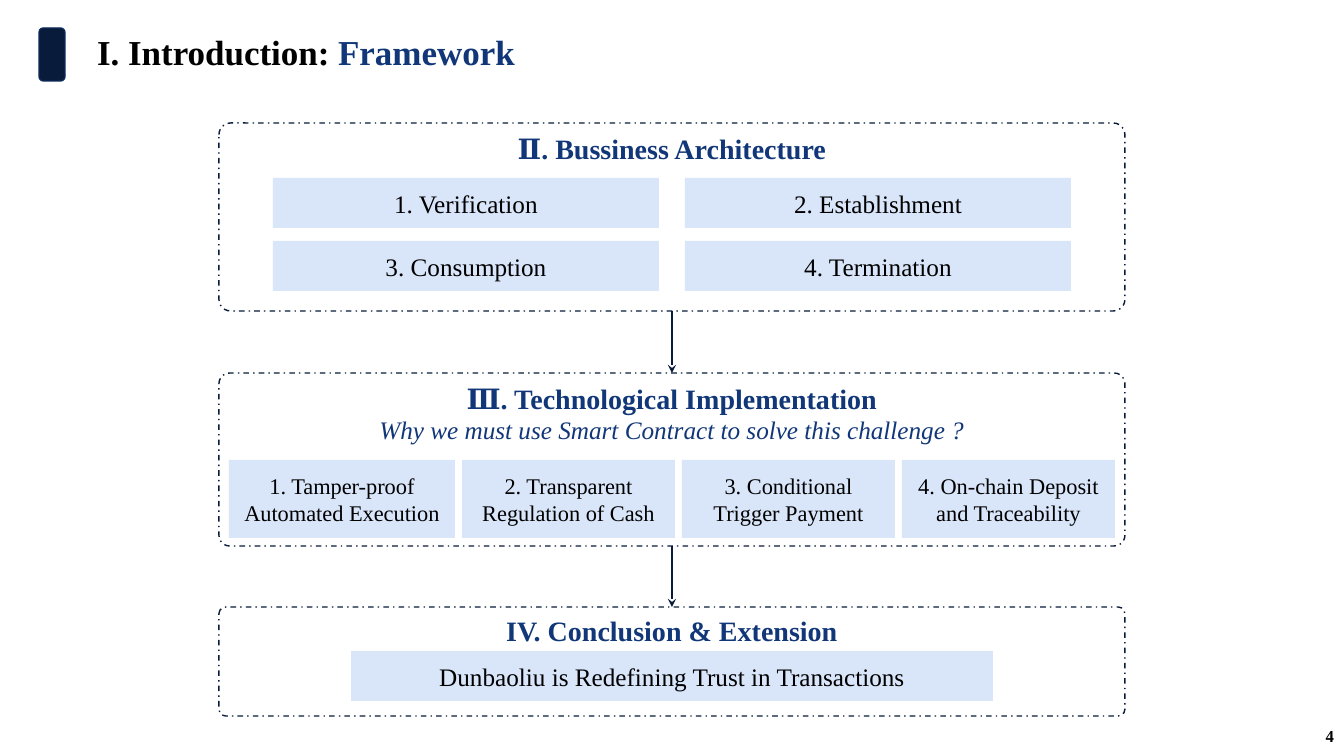
"""Build the framework slide: three linked panels of topics."""
from lxml import etree
from pptx import Presentation, util as u
from pptx.dml.color import RGBColor
from pptx.enum import dml, shapes, text
from pptx.oxml import ns

PX = 914400 / 100.8
FONT = "Times New Roman"
BLACK = RGBColor(0x00, 0x00, 0x00)
BLUE = RGBColor(0x11, 0x37, 0x78)
NAVY = RGBColor(0x09, 0x1B, 0x3A)
EDGE = RGBColor(0x0D, 0x29, 0x59)
PALE = RGBColor(0xD9, 0xE5, 0xF9)
PANEL_LEFT, PANEL_WIDTH = 219, 906
CENTER = PANEL_LEFT + PANEL_WIDTH // 2


def px(*lengths):
    """Turn pixel lengths into EMU."""
    return [u.Emu(round(length * PX)) for length in lengths]


def add_run(paragraph, words, size, color, bold=False, italic=False):
    """Append one formatted run."""
    run = paragraph.add_run()
    run.text = words
    font = run.font
    font.name, font.size = FONT, u.Pt(size)
    font.bold, font.italic = bold, italic
    font.color.rgb = color


def add_block(slide, kind, box, fill=None, line=None):
    """Add a flat preset shape."""
    shape = slide.shapes.add_shape(kind, *px(*box))
    shape.shadow.inherit = False
    if fill is None:
        shape.fill.background()
    else:
        shape.fill.solid()
        shape.fill.fore_color.rgb = fill
    if line is None:
        shape.line.fill.background()
    else:
        shape.line.color.rgb = line
        shape.line.width = u.Pt(1)
    return shape


def add_panel(slide, top, height, heading, question=None):
    """Add a dashed panel with its heading and optional question."""
    panel = add_block(slide, shapes.MSO_SHAPE.ROUNDED_RECTANGLE,
                      (PANEL_LEFT, top, PANEL_WIDTH, height), line=NAVY)
    panel.adjustments[0] = 0.062
    panel.line.dash_style = dml.MSO_LINE.DASH_DOT
    frame = panel.text_frame
    frame.vertical_anchor = text.MSO_ANCHOR.TOP
    paragraph = frame.paragraphs[0]
    paragraph.alignment = text.PP_ALIGN.CENTER
    add_run(paragraph, heading, 20, BLUE, bold=True)
    if question:
        paragraph = frame.add_paragraph()
        paragraph.alignment = text.PP_ALIGN.CENTER
        add_run(paragraph, question, 18, BLUE, italic=True)


def add_topic(slide, box, words, size=18):
    """Add a pale topic box."""
    topic = add_block(slide, shapes.MSO_SHAPE.RECTANGLE, box, fill=PALE)
    topic.text_frame.word_wrap = True
    topic.text_frame.vertical_anchor = text.MSO_ANCHOR.MIDDLE
    paragraph = topic.text_frame.paragraphs[0]
    paragraph.alignment = text.PP_ALIGN.CENTER
    add_run(paragraph, words, size, BLACK)


def add_arrow(slide, top, bottom):
    """Add a downward arrow between panels."""
    arrow = slide.shapes.add_connector(
        shapes.MSO_CONNECTOR.STRAIGHT, *px(CENTER, top, CENTER, bottom))
    arrow.line.color.rgb = NAVY
    arrow.line.width = u.Pt(1)
    etree.SubElement(arrow.line._get_or_add_ln(), ns.qn("a:tailEnd"), type="stealth")
    etree.SubElement(arrow._element.spPr, ns.qn("a:effectLst"))


def add_title(slide):
    """Fill the title placeholder."""
    title = slide.shapes.title
    title.left, title.top, title.width, title.height = px(87, 28, 758, 52)
    title.text_frame.vertical_anchor = text.MSO_ANCHOR.MIDDLE
    paragraph = title.text_frame.paragraphs[0]
    paragraph.alignment = text.PP_ALIGN.LEFT
    paragraph.line_spacing = 0.9
    add_run(paragraph, "I. Introduction: ", 25, BLACK, bold=True)
    add_run(paragraph, "Framework", 25, BLUE, bold=True)


def add_page_number(slide, number):
    """Add the page number at the lower right."""
    frame = slide.shapes.add_textbox(*px(1042, 716, 302, 40)).text_frame
    frame.word_wrap = True
    frame.vertical_anchor = text.MSO_ANCHOR.MIDDLE
    paragraph = frame.paragraphs[0]
    paragraph.alignment = text.PP_ALIGN.RIGHT
    add_run(paragraph, number, 12, BLACK, bold=True)


def main():
    """Build and save the slide."""
    presentation = Presentation()
    presentation.slide_width, presentation.slide_height = px(1344, 756)
    slide = presentation.slides.add_slide(presentation.slide_layouts[5])
    add_block(slide, shapes.MSO_SHAPE.ROUNDED_RECTANGLE, (39, 28, 26, 53), NAVY, EDGE)
    add_title(slide)
    add_page_number(slide, "4")

    add_panel(slide, 123, 188, "Ⅱ. Bussiness Architecture")
    stages = ["1. Verification", "2. Establishment", "3. Consumption", "4. Termination"]
    for index, stage in enumerate(stages):
        row, column = divmod(index, 2)
        add_topic(slide, (273 + 412 * column, 178 + 63 * row, 386, 50), stage)

    add_panel(slide, 373, 173, "Ⅲ. Technological Implementation",
              "Why we must use Smart Contract to solve this challenge ?")
    left = 229
    for width, reason in [(226, "1. Tamper-proof Automated Execution"),
                          (213, "2. Transparent Regulation of Cash"),
                          (213, "3. Conditional Trigger Payment"),
                          (213, "4. On-chain Deposit and Traceability")]:
        add_topic(slide, (left, 460, width, 78), reason, 16)
        left += width + 7

    add_panel(slide, 607, 109, "IV. Conclusion & Extension")
    add_topic(slide, (351, 651, 642, 50), "Dunbaoliu is Redefining Trust in Transactions")

    add_arrow(slide, 311, 373)
    add_arrow(slide, 546, 607)
    presentation.save("out.pptx")


if __name__ == "__main__":
    main()
